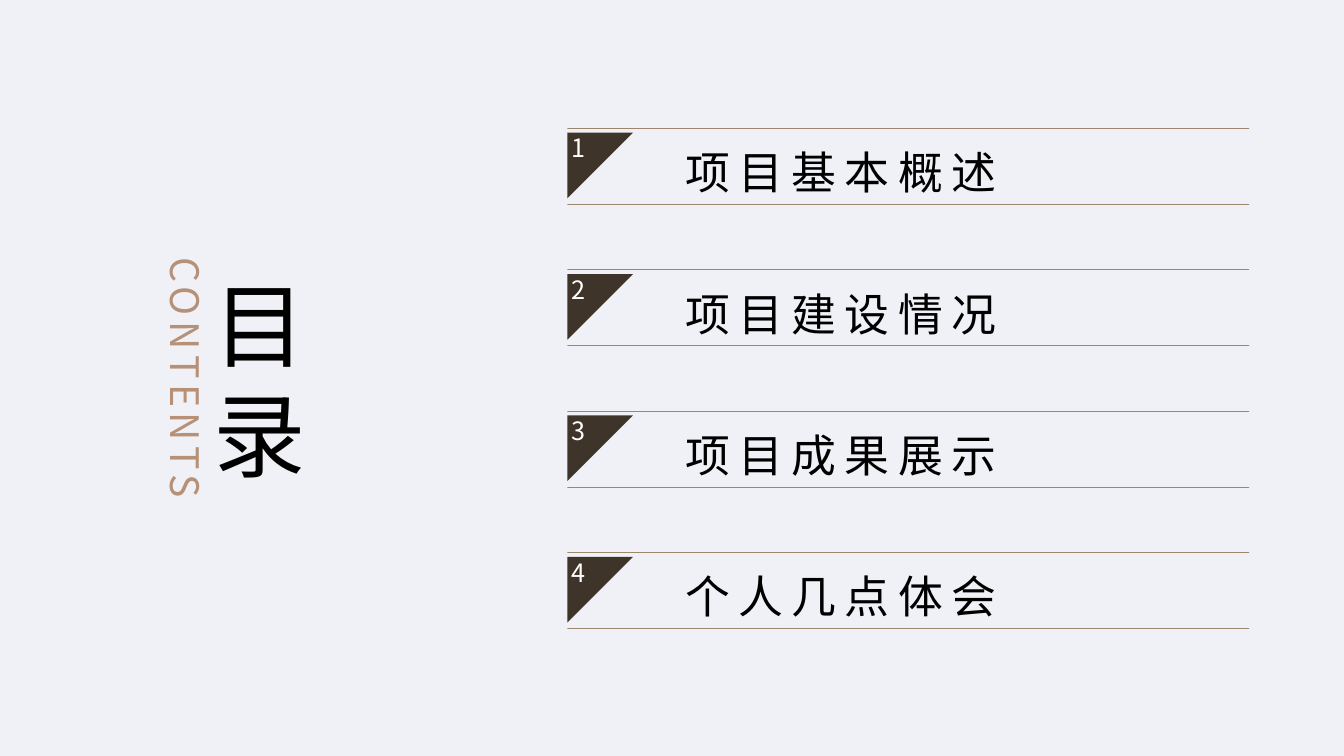
from lxml import etree
from pptx import Presentation
from pptx import util as u
from pptx.dml.color import RGBColor
from pptx.enum import text
from pptx.oxml.ns import qn


def colour(value):
    """Turn a hex string into a colour."""
    return RGBColor.from_string(value)


class Deck:
    """Hold the style and current slide; lengths are percentages of the slide size."""

    FONT = "Noto Sans CJK SC"
    INK, DARK, TAN, RULE = "000000", "3E3429", "B69178", "9E866C"
    WHITE, PAPER = "FFFFFF", "F0F1F6"

    def __init__(self):
        """Create the presentation with one blank slide."""
        self.show = Presentation()
        self.show.slide_width = u.Inches(13.33)
        self.show.slide_height = u.Inches(7.5)
        self.slide = self.show.slides.add_slide(self.show.slide_layouts[6])
        self.slide.background.fill.solid()
        self.slide.background.fill.fore_color.rgb = colour(self.PAPER)

    def x(self, share):
        """Convert a percentage of the slide width."""
        return round(self.show.slide_width * share / 100)

    def y(self, share):
        """Convert a percentage of the slide height."""
        return round(self.show.slide_height * share / 100)

    def letter(self, shape, words, size, ink, align, anchor, insets, spread=0, leading=None):
        """Fill a shape with styled text; insets are in points."""
        frame = shape.text_frame
        frame.text = words
        frame.word_wrap = True
        frame.vertical_anchor = anchor
        frame.margin_left, frame.margin_top, frame.margin_right, frame.margin_bottom = map(u.Pt, insets)
        for paragraph in frame.paragraphs:
            paragraph.alignment = align
            paragraph.line_spacing = leading
            for run in paragraph.runs:
                run.font.size = u.Pt(size)
                run.font.color.rgb = colour(ink)
                run.font.name = self.FONT
                properties = run.font._element
                etree.SubElement(properties, qn("a:ea")).set("typeface", self.FONT)
                properties.set("spc", str(spread * 100))

    def outline(self, contours, fill=None, line=None):
        """Draw closed contours as one shape."""
        builder = None
        for contour in contours:
            start, *rest = [(self.x(across), self.y(down)) for across, down in contour]
            if builder is None:
                builder = self.slide.shapes.build_freeform(*start)
            else:
                builder.move_to(*start)
            builder.add_line_segments(rest, close=True)
        shape = builder.convert_to_shape()
        shape.shadow.inherit = False
        if fill:
            shape.fill.solid()
            shape.fill.fore_color.rgb = colour(fill)
        else:
            shape.fill.background()
        if line:
            shape.line.color.rgb = colour(line)
            shape.line.width = u.Pt(0.25)
        else:
            shape.line.fill.background()
        return shape

    def entry(self, number, topic, left, top, width, height):
        """Draw a ruled topic with its numbered corner."""
        rules = [[(left, level), (left + width, level)] for level in (top + height, top)]
        band = self.outline(rules, line=self.RULE)
        self.letter(band, topic, 32, self.INK, text.PP_ALIGN.LEFT, text.MSO_ANCHOR.MIDDLE,
                    (84, 0, 0, 3), spread=6, leading=1.3)
        edge = top + 0.63
        corner = self.outline([[(left, edge), (left + 4.88, edge), (left, edge + 8.67)]], fill=self.DARK)
        self.letter(corner, str(number), 18, self.WHITE, text.PP_ALIGN.LEFT, text.MSO_ANCHOR.TOP,
                    (3, 0, 0, 34))

    def heading(self, words, left, top, width, height, size, ink, insets, spread=0, turn=0):
        """Place a centred heading, turned if asked."""
        box = self.slide.shapes.add_textbox(self.x(left), self.y(top), self.x(width), self.y(height))
        box.rotation = turn
        self.letter(box, words, size, ink, text.PP_ALIGN.CENTER, text.MSO_ANCHOR.MIDDLE, insets, spread)


def main():
    """Build the contents slide."""
    deck = Deck()
    topics = ("项目基本概述", "项目建设情况", "项目成果展示", "个人几点体会")
    for index, topic in enumerate(topics):
        deck.entry(index + 1, topic, 42.22, 16.93 + 18.7 * index, 50.71, 10.05)
    deck.heading("目\n录", 13.43, 30, 11.78, 40.13, 66, deck.INK, (0, 0, 0, 0))
    deck.heading("CONTENTS", -1.28, 46.13, 30.31, 7.6, 28, deck.TAN, (7.2, 3.6, 7.2, 3.6),
                 spread=4, turn=90)
    deck.show.save("out.pptx")


if __name__ == "__main__":
    main()
